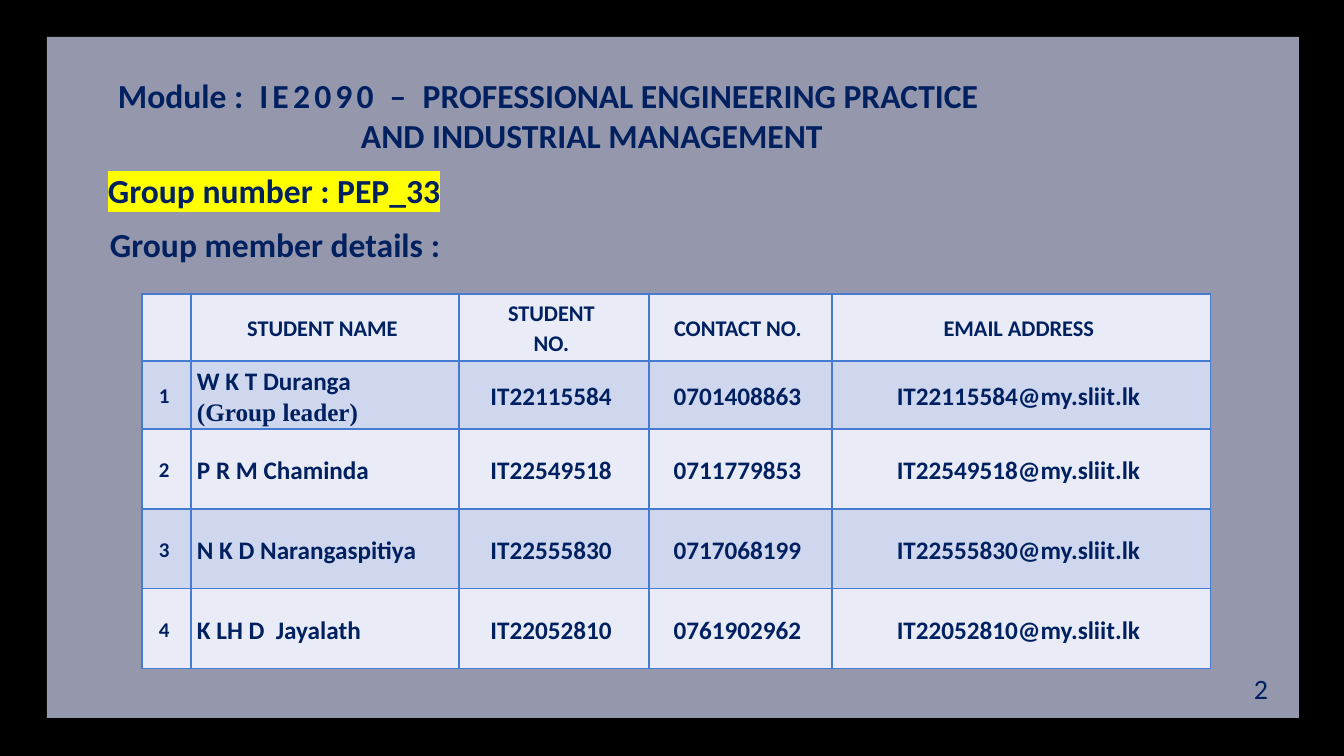
"""Builds the module and group member slide."""
from lxml import etree
from pptx import Presentation, util as u
from pptx.dml.color import RGBColor
from pptx.enum import shapes, text
from pptx.oxml.ns import qn

NAVY, PANEL, HILITE, BORDER = "002060", "D5D9F7", "FFFF00", "477BD1"
BANDS = ["E9ECF7", "CFD7EE"]
SANS, SERIF = "Calibri", "Times New Roman"

# indent px, space after pt, runs of (text, letter spacing pt, highlight)
HEADING = [
    (71, 0, [("Module ", 0, None), (": IE2090 – ", 3, None),
             ("PROFESSIONAL ENGINEERING PRACTICE", 0, None)]),
    (314, 10, [("AND INDUSTRIAL MANAGEMENT", 0, None)]),
    (61, 10, [("Group number : PEP_33", 0, HILITE)]),
    (63, 0, [("Group member details ", 0, None), (":", 3, None)]),
]
HEADER = ["", "STUDENT NAME ", "STUDENT \nNO. ", "CONTACT NO. ", "EMAIL ADDRESS "]
MEMBERS = [
    ("W K T Duranga\n(Group leader)", "IT22115584", "0701408863"),
    ("P R M Chaminda", "IT22549518", "0711779853"),
    ("N K D Narangaspitiya", "IT22555830", "0717068199"),
    ("K LH D  Jayalath", "IT22052810", "0761902962"),
]
COLS = [49, 268, 190, 183, 379]
ROWS = [67, 68, 80, 80, 80]


def px(n):
    return u.Emu(round(n * 914400 / 100.8))


def rgb(value):
    return RGBColor.from_string(value)


def add_run(p, words, size, font=SANS, bold=True, spacing=0, highlight=None):
    r = p.add_run()
    r.text = words
    r.font.size, r.font.bold = u.Pt(size), bold
    r.font.color.rgb = rgb(NAVY)
    rpr = r.font._element
    if spacing:
        rpr.set("spc", str(spacing * 100))
    if highlight:
        mark = etree.SubElement(rpr, qn("a:highlight"))
        etree.SubElement(mark, qn("a:srgbClr"), val=highlight)
    r.font.name = font


def paragraph(tf, index):
    return tf.add_paragraph() if index else tf.paragraphs[0]


def add_panel(s):
    sp = s.shapes.add_shape(shapes.MSO_SHAPE.RECTANGLE, px(47), px(37), px(1252), px(681))
    sp.shadow.inherit = False
    sp.line.fill.background()
    sp.fill.solid()
    sp.fill.fore_color.rgb = rgb(PANEL)
    color = sp._element.spPr.find(".//" + qn("a:srgbClr"))
    etree.SubElement(color, qn("a:alpha"), val="70000")
    tf = sp.text_frame
    tf.word_wrap = True
    tf.vertical_anchor = text.MSO_ANCHOR.TOP
    tf.margin_left, tf.margin_top = 0, px(38)
    for i, (indent, after, runs) in enumerate(HEADING):
        p = paragraph(tf, i)
        p.alignment = text.PP_ALIGN.LEFT
        p.space_after = u.Pt(after)
        p._p.get_or_add_pPr().set("marL", str(px(indent)))
        for words, spacing, highlight in runs:
            add_run(p, words, 24, spacing=spacing, highlight=highlight)


def fill_cell(cell, row, col, words):
    cell.fill.solid()
    cell.fill.fore_color.rgb = rgb(BANDS[row % 2])
    cell.vertical_anchor = text.MSO_ANCHOR.MIDDLE
    cell.margin_left = cell.margin_right = px(6)
    cell.margin_top, cell.margin_bottom = px(1), 0
    tcpr = cell._tc.get_or_add_tcPr()
    for i, side in enumerate("LRTB"):
        ln = etree.Element(qn("a:ln" + side), w=str(u.Pt(1)))
        fill = etree.SubElement(ln, qn("a:solidFill"))
        etree.SubElement(fill, qn("a:srgbClr"), val=BORDER)
        tcpr.insert(i, ln)
    size = 16 if row == 0 else 15 if col == 0 else 18
    is_name = row > 0 and col == 1
    for i, line in enumerate(words.split("\n") if words else []):
        p = paragraph(cell.text_frame, i)
        p.alignment = text.PP_ALIGN.LEFT if is_name else text.PP_ALIGN.CENTER
        p.line_spacing = 1.07
        add_run(p, line, size, SERIF if is_name and i else SANS)


def add_members(s):
    rows = [HEADER] + [
        [f"{n} ", name, f"{number} ", f"{phone} ", f"{number}@my.sliit.lk "]
        for n, (name, number, phone) in enumerate(MEMBERS, 1)]
    table = s.shapes.add_table(len(ROWS), len(COLS), px(142), px(294),
                               px(sum(COLS)), px(sum(ROWS))).table
    table.first_row = table.horz_banding = False
    for col, width in enumerate(COLS):
        table.columns[col].width = px(width)
    for row, height in enumerate(ROWS):
        table.rows[row].height = px(height)
        for col, words in enumerate(rows[row]):
            fill_cell(table.cell(row, col), row, col, words)


def add_page_number(s):
    tf = s.shapes.add_textbox(px(1232), px(668), px(46), px(41)).text_frame
    tf.word_wrap = True
    tf.vertical_anchor = text.MSO_ANCHOR.MIDDLE
    p = tf.paragraphs[0]
    p.alignment = text.PP_ALIGN.RIGHT
    add_run(p, "2", 20, bold=False)


def main():
    prs = Presentation()
    prs.slide_width, prs.slide_height = px(1344), px(756)
    s = prs.slides.add_slide(prs.slide_layouts[6])
    s.background.fill.solid()
    s.background.fill.fore_color.rgb = rgb("000000")
    add_panel(s)
    add_members(s)
    add_page_number(s)
    prs.save("out.pptx")


if __name__ == "__main__":
    main()
